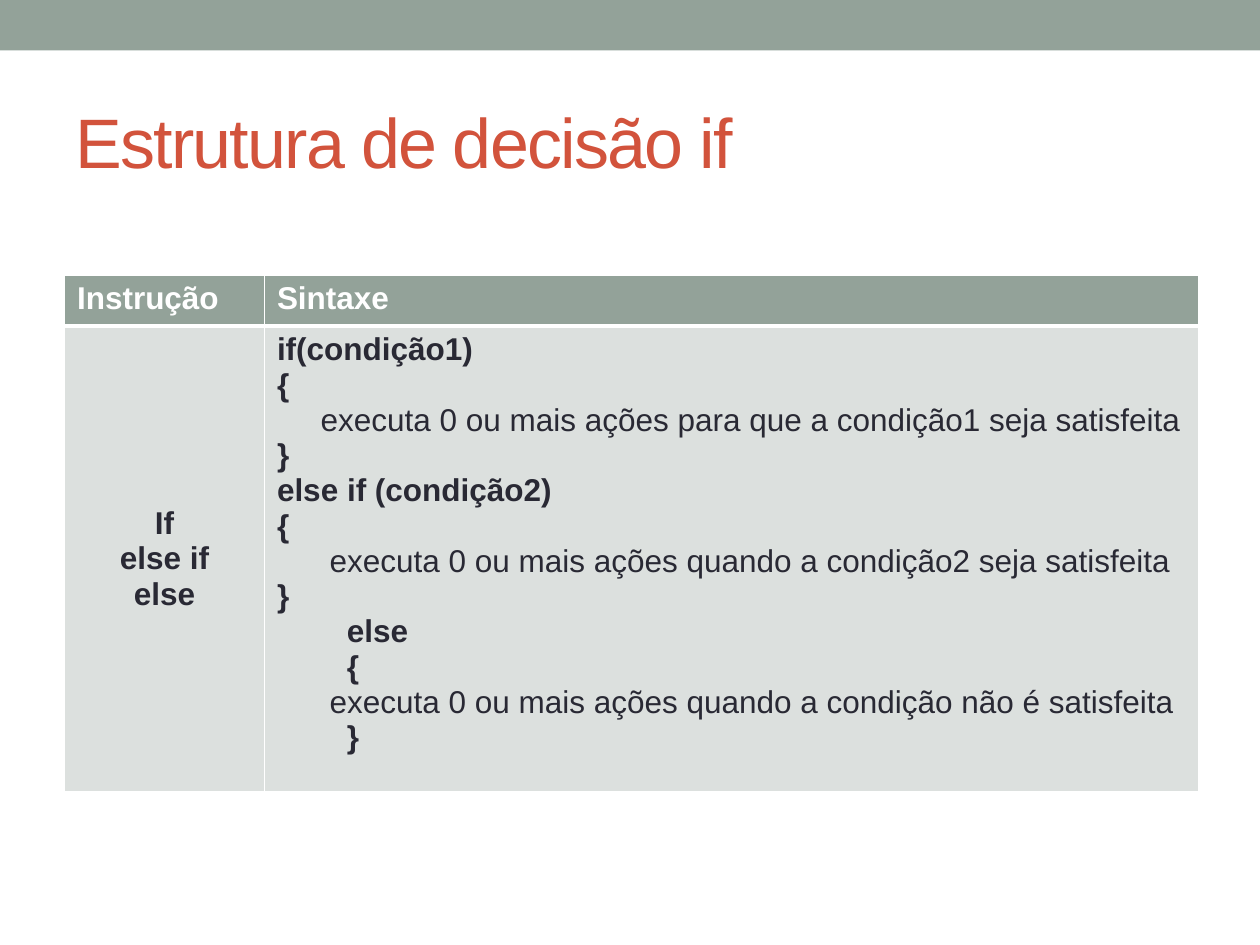
from lxml.etree import SubElement
from pptx import Presentation
from pptx.dml.color import RGBColor
from pptx.enum.shapes import MSO_SHAPE
from pptx.enum.text import MSO_ANCHOR, PP_ALIGN
from pptx.oxml.ns import qn
from pptx.util import Cm, Pt

# Content: each line is (text, bold, indent in steps)
TITLE = "Estrutura de decisão if"
HEADERS = [[("Instrução", True, 0)], [("Sintaxe", True, 0)]]
KEYWORDS = [("If", True, 0), ("else if", True, 0), ("else", True, 0)]
SYNTAX = [
    ("if(condição1)", True, 0),
    ("{", True, 0),
    ("executa 0 ou mais ações para que a condição1 seja satisfeita", False, 5),
    ("}", True, 0),
    ("else if (condição2)", True, 0),
    ("{", True, 0),
    ("executa 0 ou mais ações quando a condição2 seja satisfeita", False, 6),
    ("}", True, 0),
    ("else", True, 8),
    ("{", True, 8),
    ("executa 0 ou mais ações quando a condição não é satisfeita", False, 6),
    ("}", True, 8),
]

# Style
FONT = "Arial"
SAGE, RED, INK, PALE, WHITE = "93A299", "D2533C", "292934", "DCE0DE", "FFFFFF"
INDENT_STEP = 0.176  # cm, one space at 18 pt
COLUMN_WIDTHS = [4.03, 18.83]
ROW_HEIGHTS = [1.03, 8.8]


def paint(fill, color):
    fill.solid()
    fill.fore_color.rgb = RGBColor.from_string(color)


def add_span(para, text, size, color, bold=False):
    span = para.add_run()
    span.text = text
    span.font.name = FONT
    span.font.size = Pt(size)
    span.font.bold = bold
    span.font.color.rgb = RGBColor.from_string(color)
    return span


def add_borders(cell, widths):
    properties = cell._tc.get_or_add_tcPr()
    for side, width in zip("LRTB", widths):
        line = SubElement(properties, qn(f"a:ln{side}"), w=str(Pt(width)))
        fill = SubElement(line, qn("a:solidFill"))
        SubElement(fill, qn("a:srgbClr"), val=WHITE)


def fill_cell(cell, lines, color, background, borders, align=PP_ALIGN.LEFT):
    add_borders(cell, borders)
    paint(cell.fill, background)
    frame = cell.text_frame
    for number, (text, bold, steps) in enumerate(lines):
        para = frame.add_paragraph() if number else frame.paragraphs[0]
        para.alignment = align
        if steps:
            indent = Cm(round(steps * INDENT_STEP, 2))
            para._p.get_or_add_pPr().set("marL", str(indent))
        add_span(para, text, 18, color, bold)


deck = Presentation()
deck.slide_width, deck.slide_height = Cm(25.4), Cm(19.05)
page = deck.slides.add_slide(deck.slide_layouts[6])

# Top band
band = page.shapes.add_shape(MSO_SHAPE.RECTANGLE, 0, 0, deck.slide_width, Cm(1.02))
band.shadow.inherit = False
paint(band.fill, SAGE)
band.line.fill.background()

# Title
box = page.shapes.add_textbox(Cm(1.27), Cm(1.47), Cm(22.86), Cm(2.74))
box.text_frame.word_wrap = True
box.text_frame.vertical_anchor = MSO_ANCHOR.MIDDLE
title = add_span(box.text_frame.paragraphs[0], TITLE, 40, RED)
title.font._element.set("spc", "-100")

# Syntax table
table = page.shapes.add_table(
    2, 2, Cm(1.3), Cm(5.54), Cm(sum(COLUMN_WIDTHS)), Cm(sum(ROW_HEIGHTS))
).table
table.first_row = table.horz_banding = False
for column, width in zip(table.columns, COLUMN_WIDTHS):
    column.width = Cm(width)
for row, height in zip(table.rows, ROW_HEIGHTS):
    row.height = Cm(height)

for index, lines in enumerate(HEADERS):
    fill_cell(table.cell(0, index), lines, WHITE, SAGE, (1, 1, 1, 3))
body_borders = (1, 1, 3, 1)
fill_cell(table.cell(1, 0), KEYWORDS, INK, PALE, body_borders, PP_ALIGN.CENTER)
table.cell(1, 0).vertical_anchor = MSO_ANCHOR.MIDDLE
fill_cell(table.cell(1, 1), SYNTAX, INK, PALE, body_borders)

deck.save("out.pptx")
